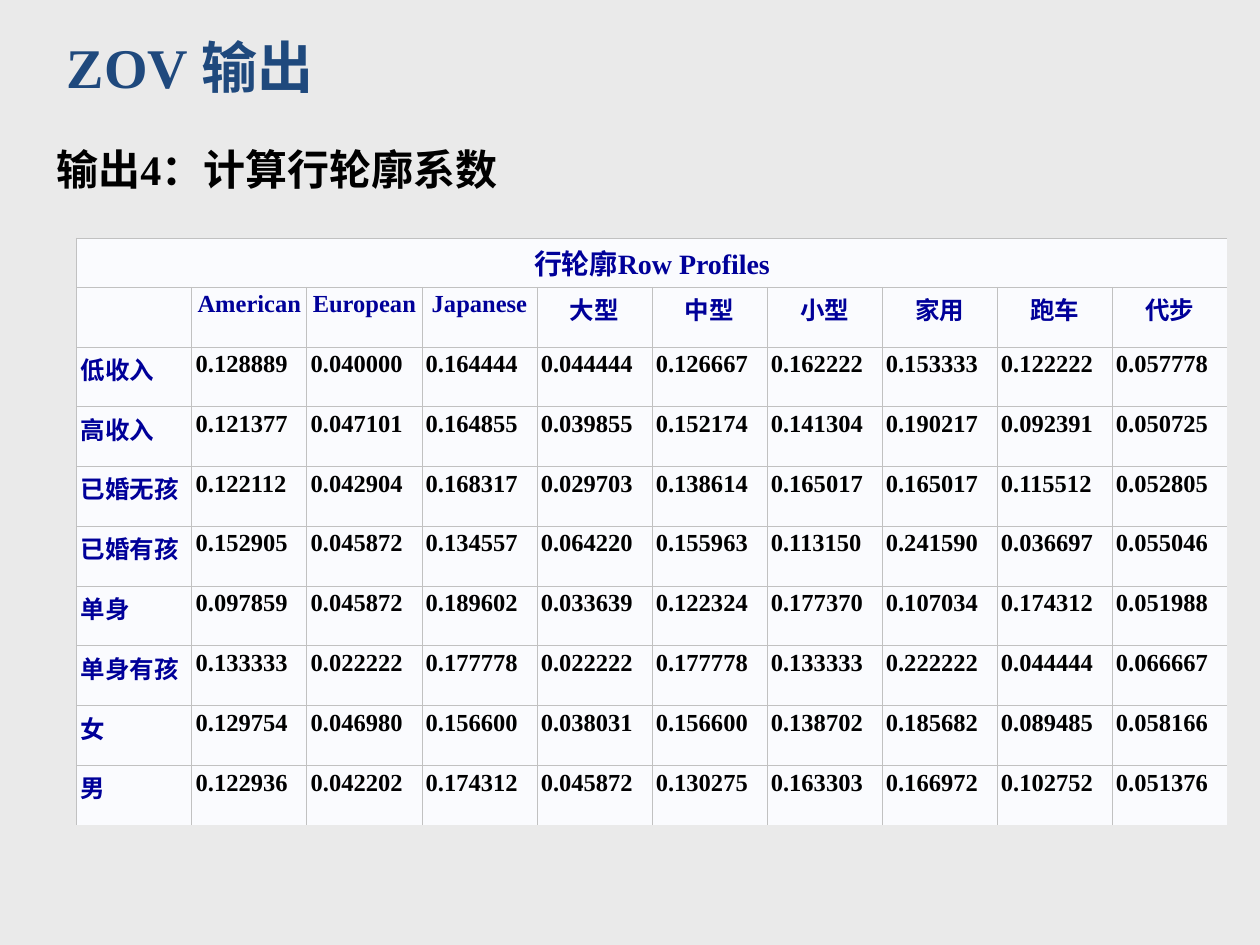
import pptx
import pptx.dml.color
import pptx.enum.text
import pptx.oxml
import pptx.oxml.ns
import pptx.util
from pptx.util import Inches

TITLE = [("ZOV ", "Times New Roman"), ("输出", "Arial")]
SUBTITLE = "输出4：计算行轮廓系数"
CAPTION = "行轮廓Row Profiles"
HEADERS = ["", "American", "European", "Japanese", "大型", "中型", "小型", "家用", "跑车", "代步"]
PROFILES = [
    ("低收入", "0.128889 0.040000 0.164444 0.044444 0.126667 0.162222 0.153333 0.122222 0.057778"),
    ("高收入", "0.121377 0.047101 0.164855 0.039855 0.152174 0.141304 0.190217 0.092391 0.050725"),
    ("已婚无孩", "0.122112 0.042904 0.168317 0.029703 0.138614 0.165017 0.165017 0.115512 0.052805"),
    ("已婚有孩", "0.152905 0.045872 0.134557 0.064220 0.155963 0.113150 0.241590 0.036697 0.055046"),
    ("单身", "0.097859 0.045872 0.189602 0.033639 0.122324 0.177370 0.107034 0.174312 0.051988"),
    ("单身有孩", "0.133333 0.022222 0.177778 0.022222 0.177778 0.133333 0.222222 0.044444 0.066667"),
    ("女", "0.129754 0.046980 0.156600 0.038031 0.156600 0.138702 0.185682 0.089485 0.058166"),
    ("男", "0.122936 0.042202 0.174312 0.045872 0.130275 0.163303 0.166972 0.102752 0.051376"),
]

THEME = {
    "font": "Times New Roman",
    "background": "EAEAEA", "title": "1F497D", "text": "000000",
    "label": "000099", "cell": "FAFBFE", "border": "C1C1C1",
    "title_size": 32, "subtitle_size": 24, "caption_size": 16, "cell_size": 14,
    "border_width": 0.6,
}
TABLE_BOX = (0.61, 1.89, 9.13, 4.66)
CAPTION_HEIGHT = 0.39
CELL_MARGIN = 0.03


def rgb(name):
    return pptx.dml.color.RGBColor.from_string(THEME[name])


def style(p, size, color, align="LEFT"):
    p.alignment = getattr(pptx.enum.text.PP_ALIGN, align)
    p.font.name = THEME["font"]
    p.font.size = pptx.util.Pt(THEME[size])
    p.font.bold = True
    p.font.color.rgb = rgb(color)


def place(sp, x, y, w, h):
    sp.left, sp.top, sp.width, sp.height = map(Inches, (x, y, w, h))


def set_borders(cell, hidden):
    tcPr = cell._tc.get_or_add_tcPr()
    width = pptx.util.Pt(THEME["border_width"])
    for i, side in enumerate("LRTB"):
        paint = "<a:noFill/>" if side in hidden else (
            f'<a:solidFill><a:srgbClr val="{THEME["border"]}"/></a:solidFill>')
        tcPr.insert(i, pptx.oxml.parse_xml(
            f'<a:ln{side} {pptx.oxml.ns.nsdecls("a")} w="{width}">{paint}</a:ln{side}>'))


def add_title(s):
    sp = s.shapes.title
    place(sp, 0.43, 0.21, 5.96, 0.64)
    tf = sp.text_frame
    tf.vertical_anchor = pptx.enum.text.MSO_ANCHOR.TOP
    tf.auto_size = pptx.enum.text.MSO_AUTO_SIZE.NONE
    p = tf.paragraphs[0]
    style(p, "title_size", "title")
    for text, font in TITLE:
        r = p.add_run()
        r.text = text
        r.font.name = font


def add_subtitle(s):
    tf = s.shapes.add_textbox(*map(Inches, (0.35, 1.09, 4.26, 0.5))).text_frame
    tf.word_wrap = True
    tf.text = SUBTITLE
    style(tf.paragraphs[0], "subtitle_size", "text")


def add_profiles(s):
    rows = [[CAPTION] + [""] * (len(HEADERS) - 1), HEADERS]
    rows += [[label, *values.split()] for label, values in PROFILES]
    last_row, last_col = len(rows) - 1, len(HEADERS) - 1
    table = s.shapes.add_table(len(rows), len(HEADERS), *map(Inches, TABLE_BOX)).table
    table.first_row = table.horz_banding = False
    for col in table.columns:
        col.width = Inches(TABLE_BOX[2] / len(HEADERS))
    for row in table.rows:
        row.height = Inches((TABLE_BOX[3] - CAPTION_HEIGHT) / last_row)
    table.rows[0].height = Inches(CAPTION_HEIGHT)
    table.cell(0, 0).merge(table.cell(0, last_col))

    for i, row in enumerate(rows):
        for j, text in enumerate(row):
            cell = table.cell(i, j)
            cell.margin_left = cell.margin_right = Inches(CELL_MARGIN)
            cell.margin_top = cell.margin_bottom = Inches(CELL_MARGIN)
            cell.fill.solid()
            cell.fill.fore_color.rgb = rgb("cell")
            hidden = ("R" if i == 0 or j == last_col else "") + ("B" if i == last_row else "")
            set_borders(cell, hidden)
            cell.text = text
            style(cell.text_frame.paragraphs[0],
                  "caption_size" if i == 0 else "cell_size",
                  "label" if i < 2 or j == 0 else "text",
                  "CENTER" if i < 2 else "LEFT")


def main():
    prs = pptx.Presentation()
    prs.slide_width, prs.slide_height = Inches(10), Inches(7.5)
    s = prs.slides.add_slide(prs.slide_layouts.get_by_name("Title Only"))
    s.background.fill.solid()
    s.background.fill.fore_color.rgb = rgb("background")
    add_profiles(s)
    add_title(s)
    add_subtitle(s)
    prs.save("out.pptx")


if __name__ == "__main__":
    main()
